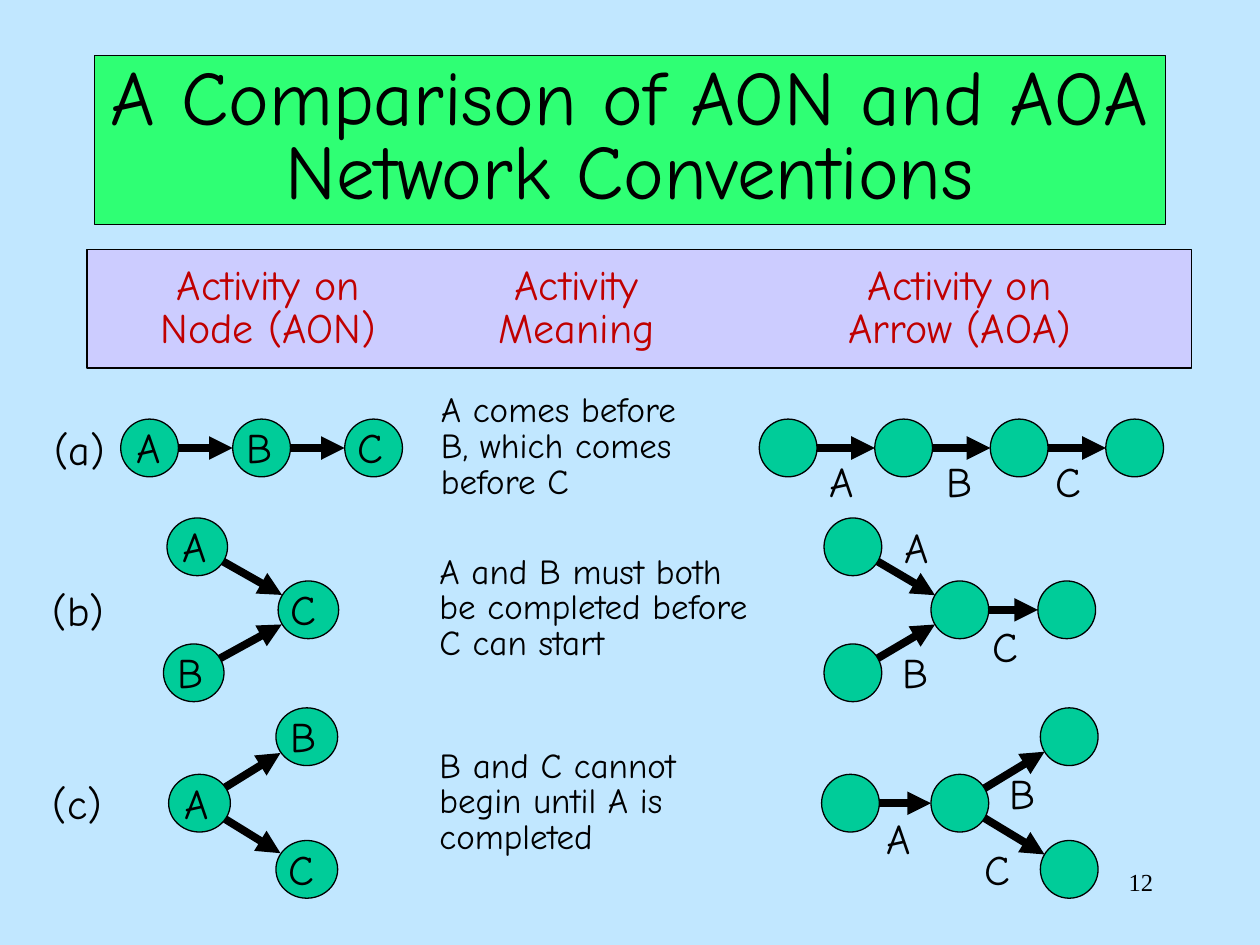
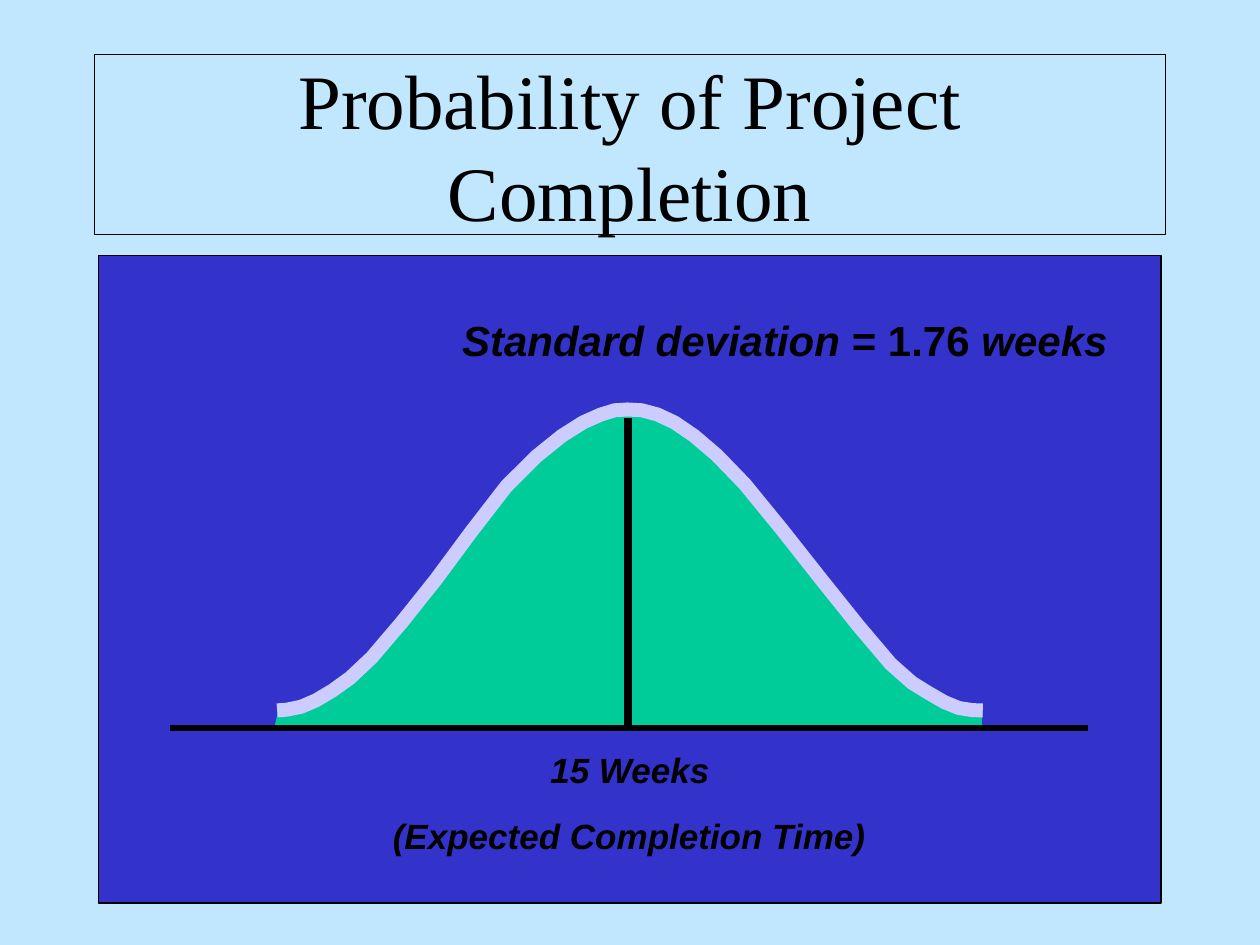
import math
import pptx
import pptx.dml.color
import pptx.enum.shapes
import pptx.enum.text
import pptx.oxml
import pptx.oxml.ns
import pptx.util
from lxml import etree

Pt = pptx.util.Pt
KIND = pptx.enum.shapes.MSO_SHAPE
ALIGN = pptx.enum.text.PP_ALIGN
FIT = pptx.enum.text.MSO_AUTO_SIZE
ANCHOR = pptx.enum.text.MSO_ANCHOR

SKY, BLACK, LIME, LILAC = "C1E7FF", "000000", "2FFF74", "CCCCFF"
RED, TEAL, BLUE = "C00000", "00CC99", "3333CC"
COMIC, TIMES, ARIAL = "Comic Neue", "Times New Roman", "Arial"

HEAD = "\tActivity on\tActivity\tActivity on\n\tNode (AON)\tMeaning\tArrow (AOA)"
TABS = (85, 261, 480)
SIZE = 33
SHIFT = {"A": 2, "B": 1, "C": 0}

ROWS = [
    dict(
        tag=("(a)", 23.8, 238.3),
        note=("A comes before B, which comes before C", 244.8, 221.8, 166.3),
        aon=dict(wide=33,
                 nodes=[(85.5 + 64 * i, 256, c) for i, c in enumerate("ABC")],
                 arcs=[(0, 1), (1, 2)]),
        aoa=dict(wide=33,
                 nodes=[(450.4 + 66 * i, 256, "") for i in range(4)],
                 arcs=[(0, 1), (1, 2), (2, 3)]),
        names=[("A", 466.8, 257), ("B", 533.5, 257), ("C", 596.2, 257)],
    ),
    dict(
        tag=("(b)", 23, 330.5),
        note=("A and B must both be completed before C can start", 244, 313.9, 193.7),
        aon=dict(wide=34.6,
                 nodes=[(112.7, 312.5, "A"), (110.7, 384.5, "B"), (176.2, 348.5, "C")],
                 arcs=[(0, 2), (1, 2)]),
        aoa=dict(wide=33,
                 nodes=[(487.4, 312.5, ""), (487.4, 384.5, ""),
                        (548.5, 348.5, ""), (609.6, 348.5, "")],
                 arcs=[(0, 2), (1, 2), (2, 3)]),
        names=[("A", 509.8, 294.5), ("B", 508.5, 365.8), ("C", 560.2, 351.2)],
    ),
    dict(
        tag=("(c)", 23, 440.6),
        note=("B and C cannot begin until A is completed", 244, 424.8, 171.4),
        aon=dict(wide=35.3,
                 nodes=[(114, 459, "A"), (175.3, 421, "B"), (175.3, 496.8, "C")],
                 arcs=[(0, 1), (0, 2)]),
        aoa=dict(wide=33,
                 nodes=[(486, 459, ""), (548.5, 459, ""),
                        (611, 421, ""), (611, 496.8, "")],
                 arcs=[(0, 1), (1, 2), (1, 3)]),
        names=[("A", 499.7, 460.8), ("B", 569.5, 434.9), ("C", 555.3, 478.5)],
    ),
]

CURVE = [
    (158.4, 406), (172.1, 403.9), (190.1, 394.6), (212.4, 375.8), (249.1, 331.2),
    (289.4, 277.9), (321.1, 249.1), (343.4, 236.9), (358.6, 234), (375.8, 236.9),
    (396.7, 249.1), (425.5, 276.5), (469.4, 331.2), (509, 379.4), (530.6, 396),
    (547.9, 404.6), (561.6, 406),
]
AREA = [
    (159.1, 405.4), (170.6, 403.9), (190.8, 394.6), (217.4, 370.1), (252.7, 326.9),
    (285.1, 280.8), (311, 256.3), (339.1, 239), (359.3, 233.3), (386.6, 240.5),
    (418.3, 266.4), (440.6, 295.2), (468, 330.5), (502.6, 373.7), (522, 391),
    (540, 401), (550.8, 404.6), (561.6, 405.4), (561, 414.7), (157, 414.7),
]
LABELS = [
    ("Standard deviation| = 1.76 |weeks", 257, 176.4, 383, 36, 24),
    ("15 Weeks", 307.4, 424.1, 105.8, 31.7, 20),
    ("(Expected Completion Time)", 217.4, 462, 285.1, 31.7, 20),
]


def tint(code):
    return pptx.dml.color.RGBColor.from_string(code)


def paint(shape, fill=None, line=BLACK, wide=0.75):
    if fill:
        shape.fill.solid()
        shape.fill.fore_color.rgb = tint(fill)
    else:
        shape.fill.background()
    if line:
        shape.line.color.rgb = tint(line)
        shape.line.width = Pt(wide)
    else:
        shape.line.fill.background()
    shape.shadow.inherit = False
    return shape


def write(shape, text, size=24, font=COMIC, color=BLACK, bold=False, slant=False,
          align=ALIGN.LEFT, gap=None, tabs=()):
    """Fill a shape with lines split at newlines; every second part at | is upright."""
    frame = shape.text_frame
    for i, line in enumerate(text.split("\n")):
        para = frame.add_paragraph() if i else frame.paragraphs[0]
        para.alignment = align
        if gap:
            para.line_spacing = gap
        if tabs:
            stops = etree.SubElement(para._p.get_or_add_pPr(), pptx.oxml.ns.qn("a:tabLst"))
            for stop in tabs:
                etree.SubElement(stops, pptx.oxml.ns.qn("a:tab"), pos=str(Pt(stop)), algn="ctr")
        for j, part in enumerate(line.split("|")):
            run = para.add_run()
            run.text = part
            run.font.size = Pt(size)
            run.font.name = font
            run.font.color.rgb = tint(color)
            run.font.bold = bold
            run.font.italic = slant and j % 2 == 0


def label(shapes, text, x, y, w=28.5, h=36, wrap=False, fit=True, **style):
    box = shapes.add_textbox(Pt(x), Pt(y), Pt(w), Pt(h))
    box.text_frame.word_wrap = wrap
    box.text_frame.auto_size = FIT.SHAPE_TO_FIT_TEXT if fit else FIT.NONE
    write(box, text, **style)


def block(shapes, kind, x, y, w, h, fill):
    return paint(shapes.add_shape(kind, Pt(x), Pt(y), Pt(w), Pt(h)), fill)


def stroke(shapes, start, end, wide=4.5, arrow=False):
    straight = pptx.enum.shapes.MSO_CONNECTOR.STRAIGHT
    line = shapes.add_connector(straight, *[Pt(v) for v in (*start, *end)])
    line.line.color.rgb = tint(BLACK)
    line.line.width = Pt(wide)
    if arrow:
        etree.SubElement(line.line._get_or_add_ln(), pptx.oxml.ns.qn("a:tailEnd"), type="triangle")
    etree.SubElement(line._element.spPr, pptx.oxml.ns.qn("a:effectLst"))


def graph(shapes, wide, nodes, arcs):
    """Draw arrows from near each source centre to the target's edge, then nodes."""
    for a, b in arcs:
        (x, y, _), (p, q, _) = nodes[a], nodes[b]
        span = math.dist((x, y), (p, q))
        ux, uy = (p - x) / span, (q - y) / span
        stroke(shapes, (x + 9 * ux, y + 9 * uy),
               (p - wide / 2 * ux, q - wide / 2 * uy), arrow=True)
    for x, y, name in nodes:
        left, top = x - wide / 2, y - SIZE / 2
        block(shapes, KIND.OVAL, left, top, wide, SIZE, TEAL)
        if name:
            label(shapes, name, left + SHIFT[name], top - 2)


def smooth(knots):
    """Return the knots with a Catmull-Rom midpoint between each two."""
    ends = [knots[0], *knots, knots[-1]]
    out = []
    for a, b, c, d in zip(ends, ends[1:], ends[2:], ends[3:]):
        out += [b, tuple((9 * (q + r) - p - s) / 16 for p, q, r, s in zip(a, b, c, d))]
    return out + [knots[-1]]


def trace(shapes, points, close, **look):
    dots = [(Pt(x), Pt(y)) for x, y in points]
    pen = shapes.build_freeform(*dots[0])
    pen.add_line_segments(dots[1:], close=close)
    return paint(pen.convert_to_shape(), **look)


def start(deck, text, top, high, fill=None, **style):
    slide = deck.slides.add_slide(deck.slide_layouts.get_by_name("Title Only"))
    title = slide.shapes.title
    title.left, title.top, title.width, title.height = Pt(54), Pt(top), Pt(612), Pt(high)
    paint(title, fill)
    title.text_frame.auto_size = FIT.NONE
    title.text_frame.vertical_anchor = ANCHOR.MIDDLE
    write(title, text, size=44, align=ALIGN.CENTER, **style)
    return slide.shapes


def compare(deck):
    shapes = start(deck, "A Comparison of AON and AOA Network Conventions",
                   31.7, 96.5, LIME, gap=0.8)
    band = block(shapes, KIND.RECTANGLE, 49.7, 142.6, 631.4, 67.7, LILAC)
    frame = band.text_frame
    frame.vertical_anchor = ANCHOR.TOP
    frame.margin_left = frame.margin_right = Pt(18.7)
    frame.margin_top = frame.margin_bottom = Pt(9.4)
    write(band, HEAD, color=RED, gap=0.85, tabs=TABS)
    for row in ROWS:
        group = shapes.add_group_shape().shapes
        graph(group, **row["aon"])
        graph(group, **row["aoa"])
        label(group, *row["note"], h=68.4, wrap=True, size=20, gap=0.85)
        label(group, *row["tag"], w=46)
        for name in row["names"]:
            label(group, *name)
    label(shapes, "12", 516.2, 491.8, 149.8, wrap=True, fit=False,
          size=14, font=TIMES, align=ALIGN.RIGHT)


def chance(deck):
    shapes = start(deck, "Probability of Project Completion", 31, 103, font=TIMES)
    block(shapes, KIND.RECTANGLE, 56.2, 146, 607.2, 370, BLUE)
    for text, x, y, w, h, size in LABELS:
        label(shapes, text, x, y, w, h, size=size, font=ARIAL, bold=True, slant=True)
    group = shapes.add_group_shape().shapes
    trace(group, AREA, True, fill=TEAL, line=None)
    trace(group, smooth(CURVE), False, line=LILAC, wide=8)
    stroke(group, (359, 239), (359, 414.7))
    stroke(shapes, (97.2, 416), (622, 416), wide=3)


def main():
    deck = pptx.Presentation()
    deck.slide_width, deck.slide_height = Pt(720), Pt(540)
    back = deck.slide_master.background.fill
    back.solid()
    back.fore_color.rgb = tint(SKY)
    compare(deck)
    chance(deck)
    deck.save("out.pptx")


if __name__ == "__main__":
    main()
